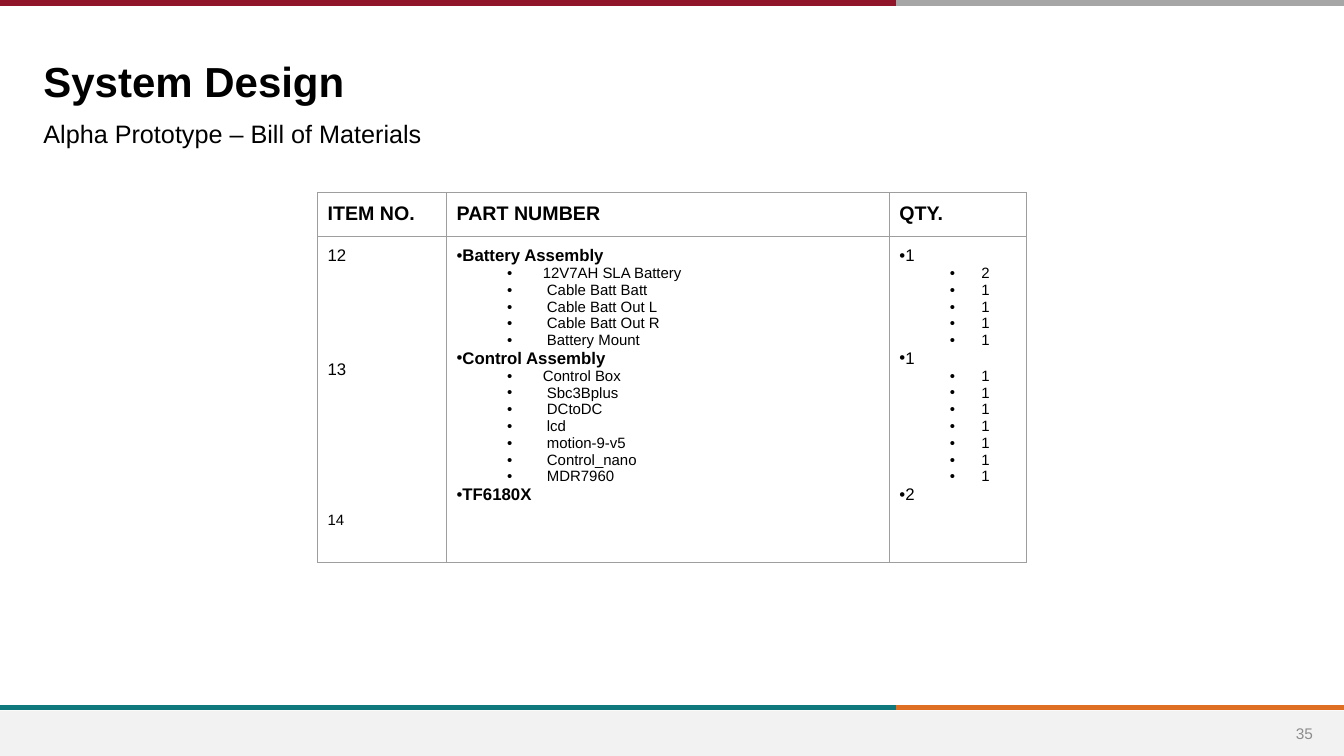
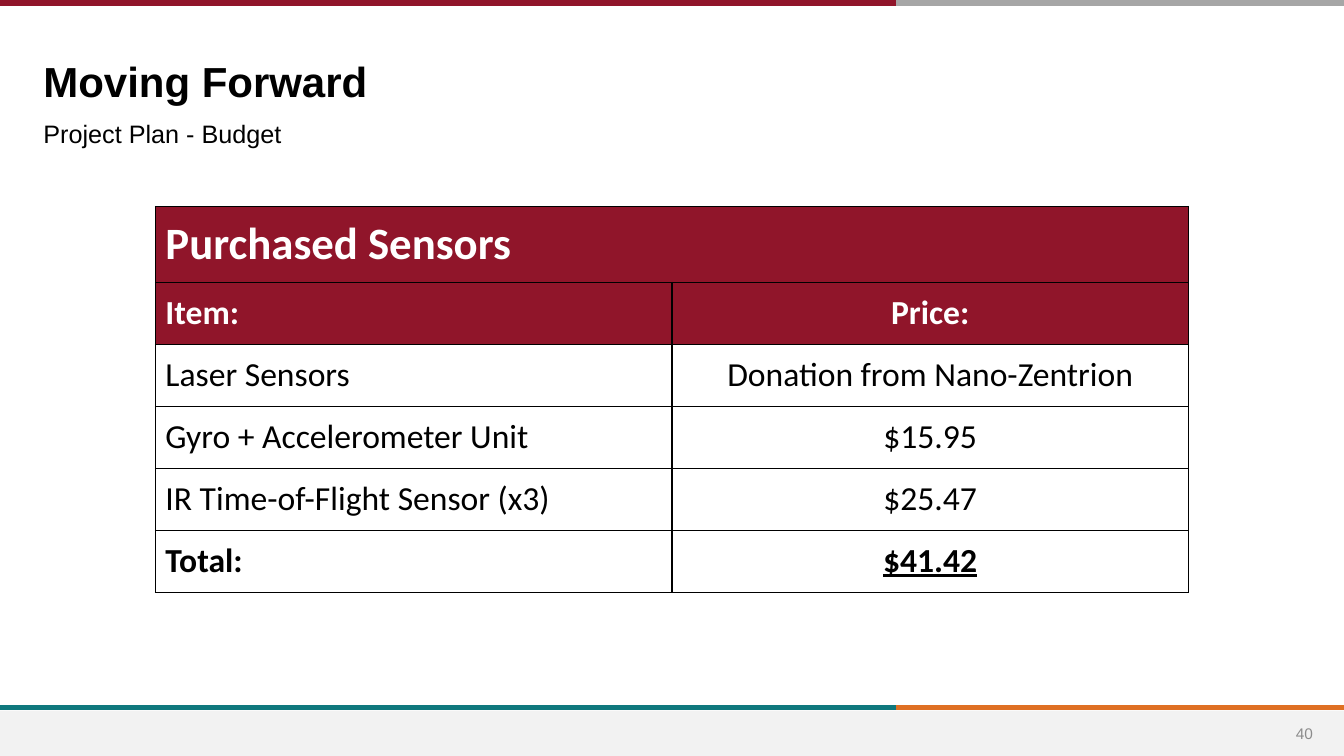
import pptx
import pptx.util
import pptx.dml.color
import pptx.enum.shapes
import pptx.enum.text
from dataclasses import dataclass
from lxml import etree

Pt = pptx.util.Pt
Align = pptx.enum.text.PP_ALIGN
Anchor = pptx.enum.text.MSO_ANCHOR


@dataclass(frozen=True)
class Theme:
    sans: str = "Arial"
    table_sans: str = "Calibri"
    black: str = "000000"
    white: str = "FFFFFF"
    crimson: str = "90152A"
    gray: str = "A6A6A6"
    teal: str = "0F787D"
    orange: str = "DF7023"
    footer: str = "F2F2F2"
    page_number: str = "8C8C8C"
    grid: str = "9E9E9E"
    title_size: float = 30
    subtitle_size: float = 18
    page_size: float = 11
    header_size: float = 14
    assembly_size: float = 12
    part_size: float = 10.7
    budget_title_size: float = 32
    budget_size: float = 24


THEME = Theme()


@dataclass
class Line:
    text: str
    size: float
    font: str = THEME.sans
    color: str = THEME.black
    bold: bool = False
    underline: bool = False
    align: Align = Align.LEFT
    before: float = 0
    bullet: tuple = None


WIDTH, HEIGHT = 960, 540
SPLIT = 640
BANDS = [
    (2.2, THEME.crimson, THEME.gray),
    (505.4, THEME.teal, THEME.orange),
]
FOOTER_TOP = 507.6
BULLET_AT = 36

MATERIALS_HEADER = ["ITEM NO.", "PART NUMBER", "QTY."]
ITEM_NUMBERS = [
    ("12", THEME.assembly_size, 0),
    ("13", THEME.assembly_size, 68),
    ("14", THEME.part_size, 95),
]
ASSEMBLIES = [
    ("Battery Assembly", 1, [
        ("12V7AH SLA Battery", 2),
        ("Cable Batt Batt", 1),
        ("Cable Batt Out L", 1),
        ("Cable Batt Out R", 1),
        ("Battery Mount", 1),
    ]),
    ("Control Assembly", 1, [
        ("Control Box", 1),
        ("Sbc3Bplus", 1),
        ("DCtoDC", 1),
        ("lcd", 1),
        ("motion-9-v5", 1),
        ("Control_nano", 1),
        ("MDR7960", 1),
    ]),
    ("TF6180X", 2, []),
]

BUDGET_TITLE = "Purchased Sensors"
BUDGET_HEADER = ("Item:", "Price:")
BUDGET_ITEMS = [
    ("Laser Sensors", "Donation from Nano-Zentrion"),
    ("Gyro + Accelerometer Unit", "$15.95"),
    ("IR Time-of-Flight Sensor (x3)", "$25.47"),
]
BUDGET_TOTAL = ("Total:", "$41.42")


def rgb(color):
    return pptx.dml.color.RGBColor.from_string(color)


def add_xml(parent, tag, **attributes):
    name = pptx.oxml.ns.qn(tag)
    return etree.SubElement(parent, name, attributes)


def write_lines(text_frame, lines):
    for index, line in enumerate(lines):
        paragraph = text_frame.add_paragraph() if index else text_frame.paragraphs[0]
        paragraph.text = line.text
        paragraph.alignment = line.align
        if line.before:
            paragraph.space_before = Pt(line.before)
        if line.bullet:
            margin, start = line.bullet
            properties = paragraph._p.get_or_add_pPr()
            properties.set("marL", str(Pt(margin)))
            properties.set("indent", str(Pt(start) - Pt(margin)))
            add_xml(properties, "a:buFont", typeface=THEME.sans)
            add_xml(properties, "a:buChar", char="•")
        font = paragraph.font
        font.name = line.font
        font.size = Pt(line.size)
        font.bold = line.bold
        font.underline = line.underline
        font.color.rgb = rgb(line.color)


def add_text(slide, left, top, width, height, line, anchor=Anchor.TOP):
    box = slide.shapes.add_textbox(Pt(left), Pt(top), Pt(width), Pt(height))
    frame = box.text_frame
    frame.word_wrap = True
    frame.vertical_anchor = anchor
    frame.margin_left = frame.margin_right = frame.margin_top = frame.margin_bottom = 0
    write_lines(frame, [line])


def add_band(slide, start, end, y, color):
    band = slide.shapes.add_connector(
        pptx.enum.shapes.MSO_CONNECTOR.STRAIGHT, Pt(start), Pt(y), Pt(end), Pt(y))
    band.line.width = Pt(4)
    band.line.color.rgb = rgb(color)
    add_xml(band._element.spPr, "a:effectLst")


def add_slide(presentation, title, subtitle, number):
    slide = presentation.slides.add_slide(presentation.slide_layouts[6])
    footer = slide.shapes.add_shape(
        pptx.enum.shapes.MSO_SHAPE.RECTANGLE,
        0, Pt(FOOTER_TOP), Pt(WIDTH), Pt(HEIGHT - FOOTER_TOP))
    footer.shadow.inherit = False
    footer.fill.solid()
    footer.fill.fore_color.rgb = rgb(THEME.footer)
    footer.line.fill.background()
    for y, left_color, right_color in BANDS:
        add_band(slide, SPLIT, WIDTH, y, right_color)
        add_band(slide, 0, SPLIT, y, left_color)
    add_text(slide, 31, 40, 752, 36, Line(title, THEME.title_size, bold=True))
    add_text(slide, 31, 84.4, 754, 24, Line(subtitle, THEME.subtitle_size))
    add_text(slide, 913, 509, 37.4, 29,
             Line(str(number), THEME.page_size, color=THEME.page_number, align=Align.CENTER),
             Anchor.MIDDLE)
    return slide


def style_cell(cell, fill, border_color, border_width):
    cell.margin_left = cell.margin_right = cell.margin_top = cell.margin_bottom = Pt(7.2)
    properties = cell._tc.get_or_add_tcPr()
    for side in ("L", "R", "T", "B"):
        border = add_xml(properties, f"a:ln{side}", w=str(Pt(border_width)))
        solid = add_xml(border, "a:solidFill")
        add_xml(solid, "a:srgbClr", val=border_color)
    cell.fill.solid()
    cell.fill.fore_color.rgb = rgb(fill)


def add_table(slide, left, top, widths, heights, rows, fills, border):
    table = slide.shapes.add_table(
        len(heights), len(widths), Pt(left), Pt(top),
        Pt(sum(widths)), Pt(sum(heights))).table
    table.first_row = table.horz_banding = False
    for column, width in zip(table.columns, widths):
        column.width = Pt(width)
    for row, height, contents, fill in zip(table.rows, heights, rows, fills):
        row.height = Pt(height)
        for cell, lines in zip(row.cells, contents):
            style_cell(cell, fill, *border)
            write_lines(cell.text_frame, lines)
    return table


def materials_rows():
    header = [[Line(text, THEME.header_size, bold=True)] for text in MATERIALS_HEADER]
    numbers = [Line(text, size, before=before) for text, size, before in ITEM_NUMBERS]
    names, quantities = [], []
    for assembly, count, parts in ASSEMBLIES:
        names.append(Line(assembly, THEME.assembly_size, bold=True, bullet=(0, 0)))
        quantities.append(Line(str(count), THEME.assembly_size, bullet=(0, 0)))
        for index, (part, quantity) in enumerate(parts):
            margin = 64.5 if index else 61.5
            names.append(Line(part, THEME.part_size, bullet=(margin, BULLET_AT)))
            quantities.append(Line(str(quantity), THEME.part_size, bullet=(58.5, BULLET_AT)))
    return [header, [numbers, names, quantities]]


def budget_row(item, price, underline=False, **style):
    style = dict(size=THEME.budget_size, font=THEME.table_sans, **style)
    return [[Line(item, **style)],
            [Line(price, align=Align.CENTER, underline=underline, **style)]]


def budget_rows():
    title = Line(BUDGET_TITLE, THEME.budget_title_size, THEME.table_sans, THEME.white, True)
    return [
        [[title], []],
        budget_row(*BUDGET_HEADER, color=THEME.white, bold=True),
        *[budget_row(*item) for item in BUDGET_ITEMS],
        budget_row(*BUDGET_TOTAL, underline=True, bold=True),
    ]


def main():
    presentation = pptx.Presentation()
    presentation.slide_width = Pt(WIDTH)
    presentation.slide_height = Pt(HEIGHT)

    slide = add_slide(presentation, "System Design", "Alpha Prototype – Bill of Materials", 35)
    add_table(slide, 226.8, 137.3, [92.2, 316.3, 98], [31, 233],
              materials_rows(), [THEME.white] * 2, (THEME.grid, 0.75))

    slide = add_slide(presentation, "Moving Forward", "Project Plan - Budget", 40)
    rows = budget_rows()
    body_count = len(rows) - 2
    table = add_table(slide, 111, 147.5, [369, 369], [54.2] + [44.3] * (len(rows) - 1),
                      rows, [THEME.crimson] * 2 + [THEME.white] * body_count,
                      (THEME.black, 1))
    table.cell(0, 0).merge(table.cell(0, 1))

    presentation.save("out.pptx")


if __name__ == "__main__":
    main()
